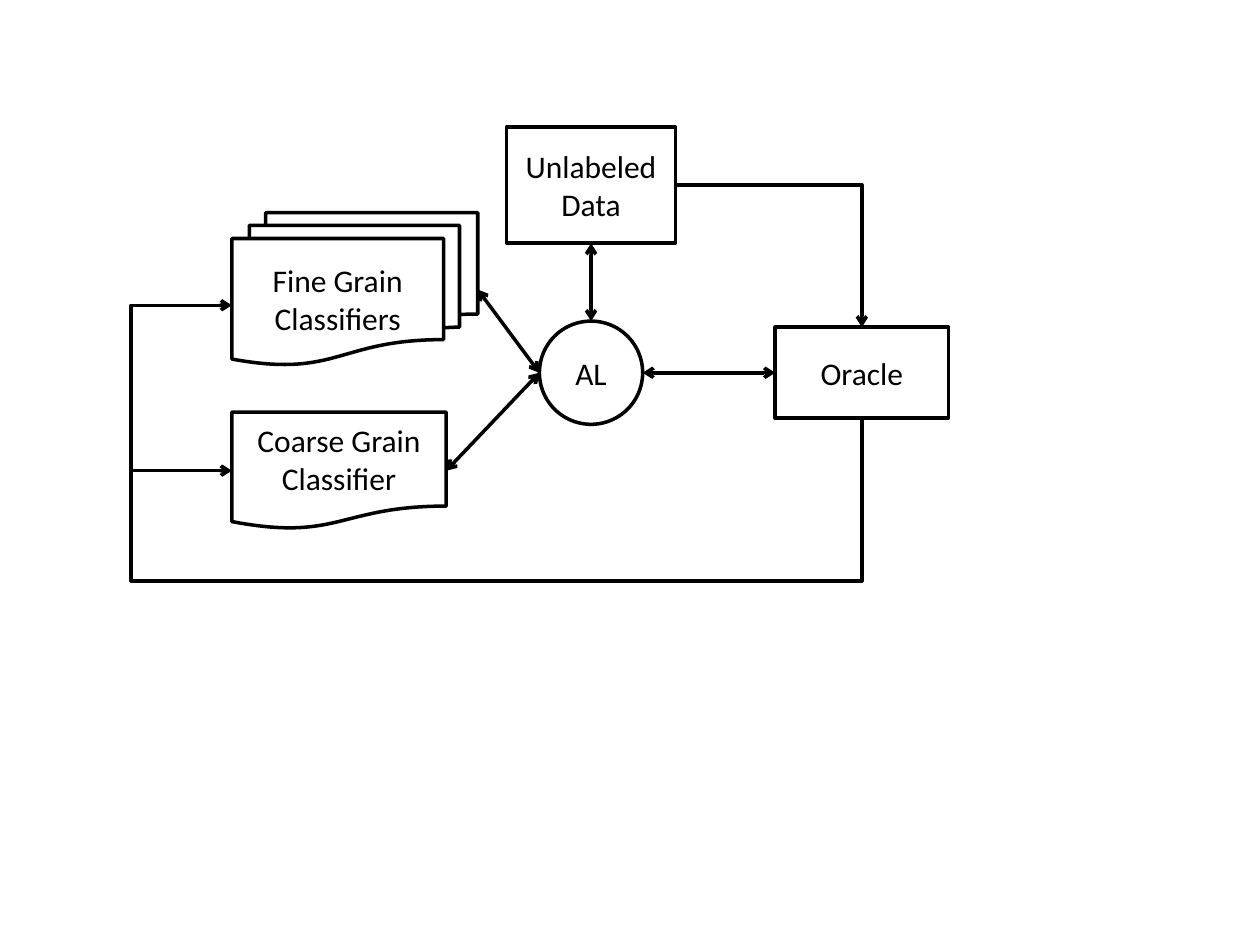
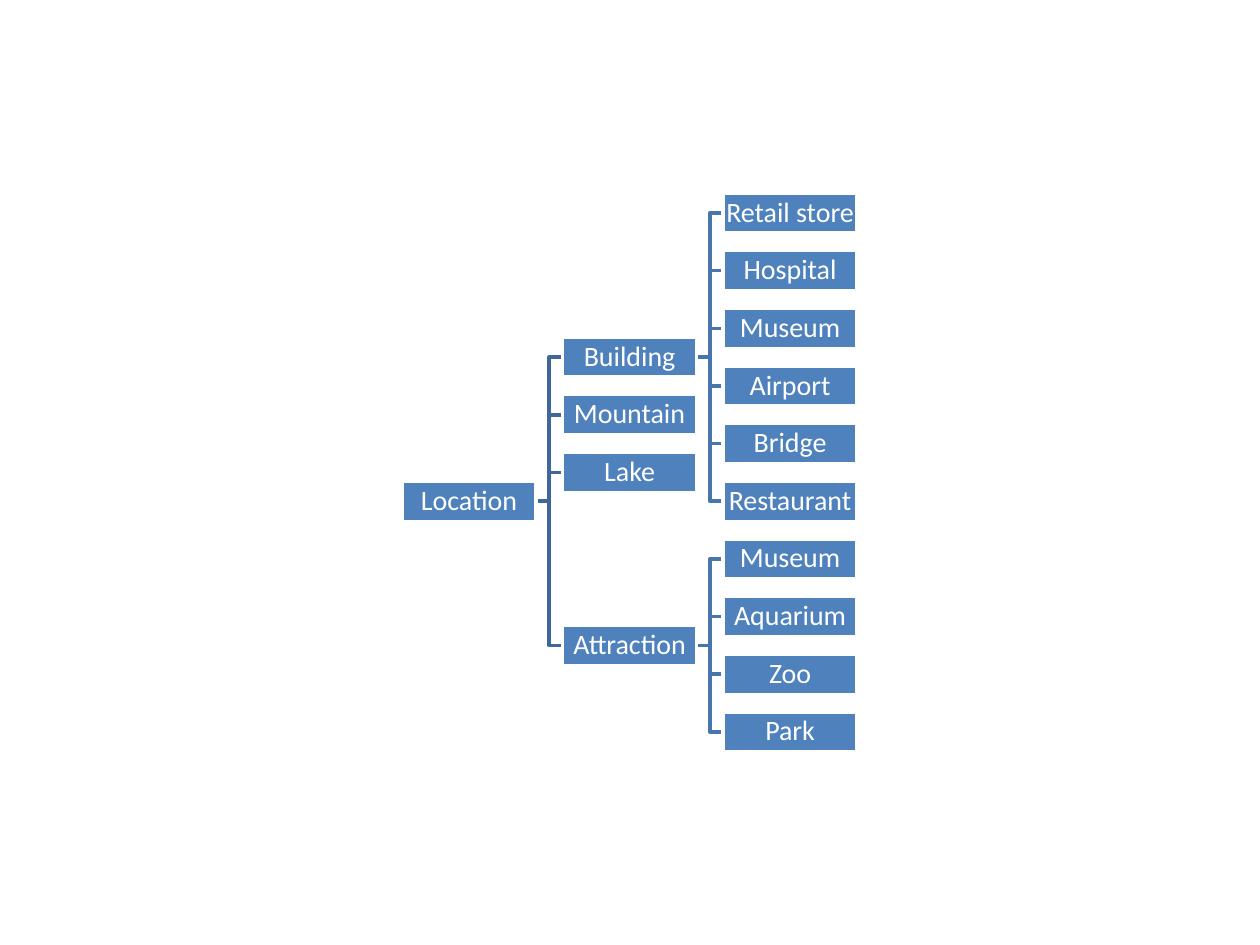
"""Build an active-learning flow diagram and a location hierarchy."""
import pptx
import pptx.dml.color
import pptx.enum.shapes
import pptx.enum.text
import pptx.oxml
import pptx.oxml.ns
import pptx.util

Pt = pptx.util.Pt
RGBColor = pptx.dml.color.RGBColor
MSO_SHAPE = pptx.enum.shapes.MSO_SHAPE
MSO_CONNECTOR = pptx.enum.shapes.MSO_CONNECTOR
qn = pptx.oxml.ns.qn

BLACK = RGBColor(0x00, 0x00, 0x00)
WHITE = RGBColor(0xFF, 0xFF, 0xFF)
BLUE = RGBColor(0x4F, 0x81, 0xBD)
BRANCH_LINE = RGBColor(0x3F, 0x67, 0x97)
LEAF_LINE = RGBColor(0x48, 0x75, 0xAC)


def write_text(tf, text, size=18, color=BLACK, font="Calibri", spacing=None, inset=None):
    tf.word_wrap = True
    tf.vertical_anchor = pptx.enum.text.MSO_ANCHOR.MIDDLE
    if inset is not None:
        tf.margin_left = tf.margin_right = tf.margin_top = tf.margin_bottom = Pt(inset)
    for i, line in enumerate(text.split("\n")):
        p = tf.add_paragraph() if i else tf.paragraphs[0]
        p.alignment = pptx.enum.text.PP_ALIGN.CENTER
        if spacing:
            p.line_spacing = spacing
        r = p.add_run()
        r.text = text if i == 0 and "\n" not in text else line
        r.font.name, r.font.size, r.font.color.rgb = font, Pt(size), color


class Deck:
    def __init__(self, width, height, line_width=2):
        self.prs = pptx.Presentation()
        self.prs.slide_width, self.prs.slide_height = Pt(width), Pt(height)
        self.line_width = line_width

    def new_slide(self):
        self.s = self.prs.slides.add_slide(self.prs.slide_layouts[6])

    def outline(self, sp, color):
        sp.line.color.rgb = color
        sp.line.width = Pt(self.line_width)

    def box(self, kind, x, y, w, h, text, fill=WHITE, line=BLACK, **fmt):
        sp = self.s.shapes.add_shape(kind, Pt(x), Pt(y), Pt(w), Pt(h))
        sp.shadow.inherit = False
        sp.fill.solid()
        sp.fill.fore_color.rgb = fill
        self.outline(sp, line)
        write_text(sp.text_frame, text, **fmt)

    def arrow(self, start, end, both=True, kind=MSO_CONNECTOR.STRAIGHT):
        cx = self.s.shapes.add_connector(kind, *(Pt(v) for v in (*start, *end)))
        self.outline(cx, BLACK)
        ln = cx.line._get_or_add_ln()
        for tag in ("headEnd", "tailEnd") if both else ("tailEnd",):
            pptx.oxml.xmlchemy.OxmlElement
            ln.append(pptx.oxml.parse_xml(f'<a:{tag} {pptx.oxml.ns.nsdecls("a")} type="arrow"/>'))
        cx._element.spPr.append(
            pptx.oxml.parse_xml(f'<a:effectLst {pptx.oxml.ns.nsdecls("a")}/>'))
        return cx

    def elbow(self, start, end, preset, turned=False, flipped=False, adjust=()):
        (x1, y1), (x2, y2) = start, end
        w, h = abs(x2 - x1), abs(y2 - y1)
        if turned:
            w, h = h, w
        x, y = (x1 + x2 - w) / 2, (y1 + y2 - h) / 2
        cx = self.arrow((x, y), (x + w, y + h), both=False, kind=MSO_CONNECTOR.ELBOW)
        spPr = cx._element.spPr
        if turned:
            spPr.xfrm.set("rot", "5400000")
        if flipped:
            spPr.xfrm.set("flipH", "1")
            spPr.xfrm.set("flipV", "1")
        geom = spPr.find(qn("a:prstGeom"))
        geom.set("prst", preset)
        guides = geom.find(qn("a:avLst"))
        for i, share in enumerate(adjust, 1):
            guides.append(pptx.oxml.parse_xml(
                f'<a:gd {pptx.oxml.ns.nsdecls("a")} name="adj{i}" fmla="val {round(share * 100000)}"/>'))

    def link(self, start, end, color):
        (x1, y1), (x2, y2) = start, end
        mid = (x1 + x2) / 2
        fb = self.s.shapes.build_freeform(Pt(x1), Pt(y1))
        fb.add_line_segments([(Pt(mid), Pt(y1)), (Pt(mid), Pt(y2)), (Pt(x2), Pt(y2))], close=False)
        sp = fb.convert_to_shape()
        sp.shadow.inherit = False
        sp.fill.background()
        self.outline(sp, color)


def build_flow(deck):
    deck.new_slide()
    al_x, mid_y, oracle_x, left_x = 337.75, 213, 492.5, 132.5
    deck.box(MSO_SHAPE.RECTANGLE, 443, 187, 99, 52, "Oracle")
    deck.box(MSO_SHAPE.OVAL, 308.25, 183.5, 59, 59, "AL")
    deck.box(MSO_SHAPE.RECTANGLE, 289.5, 72.5, 96.5, 66.5, "Unlabeled Data")
    deck.box(MSO_SHAPE.FLOWCHART_MULTIDOCUMENT, left_x, 121.5, 140.5, 87, "Fine Grain\nClassifiers")
    deck.box(MSO_SHAPE.FLOWCHART_DOCUMENT, left_x, 235.5, 122.5, 67, "Coarse Grain\nClassifier")

    al_left = (308.25, mid_y)
    deck.arrow((al_x, 139), (al_x, 183.5))
    deck.elbow((oracle_x, 239), (left_x, 269), "bentConnector4", turned=True, adjust=(3.1, 1.16))
    deck.elbow((74.9, 296.5), (left_x, 174.5), "bentConnector2", turned=True, flipped=True)
    deck.elbow((386, 105.75), (oracle_x, 187), "bentConnector2")
    deck.arrow((273, 165.5), al_left)
    deck.arrow(al_left, (255, 269))
    deck.arrow((367.25, mid_y), (443, mid_y))


def build_tree(deck):
    deck.new_slide()
    box_w, box_h, column_step, row_step = 76.4, 23, 91.75, 32.95
    left, first_center = 229.8, 121.7
    branches = {
        "Building": ["Retail store", "Hospital", "Museum", "Airport", "Bridge", "Restaurant"],
        "Mountain": [],
        "Lake": [],
        "Attraction": ["Museum", "Aquarium", "Zoo", "Park"],
    }

    nodes, links = [], []
    next_leaf, row, branch_rows = 0, 0, []
    for branch, leaves in branches.items():
        row = next_leaf + (len(leaves) - 1) / 2 if leaves else row + 1
        branch_rows.append(row)
        nodes.append((1, row, branch))
        for leaf in leaves:
            nodes.append((2, next_leaf, leaf))
            links.append((1, row, next_leaf, LEAF_LINE))
            next_leaf += 1
    root_row = (branch_rows[0] + branch_rows[-1]) / 2
    nodes.insert(0, (0, root_row, "Location"))
    links += [(0, root_row, r, BRANCH_LINE) for r in branch_rows]

    for column, start, end, color in links:
        x = left + column * column_step
        deck.link((x + box_w, first_center + start * row_step),
                  (x + column_step, first_center + end * row_step), color)
    for column, row, text in nodes:
        deck.box(MSO_SHAPE.RECTANGLE, left + column * column_step,
                 first_center + row * row_step - box_h / 2, box_w, box_h, text,
                 fill=BLUE, line=WHITE, size=16, color=WHITE, spacing=0.9, inset=0.72)


deck = Deck(720, 540)
build_flow(deck)
build_tree(deck)
deck.prs.save("out.pptx")
